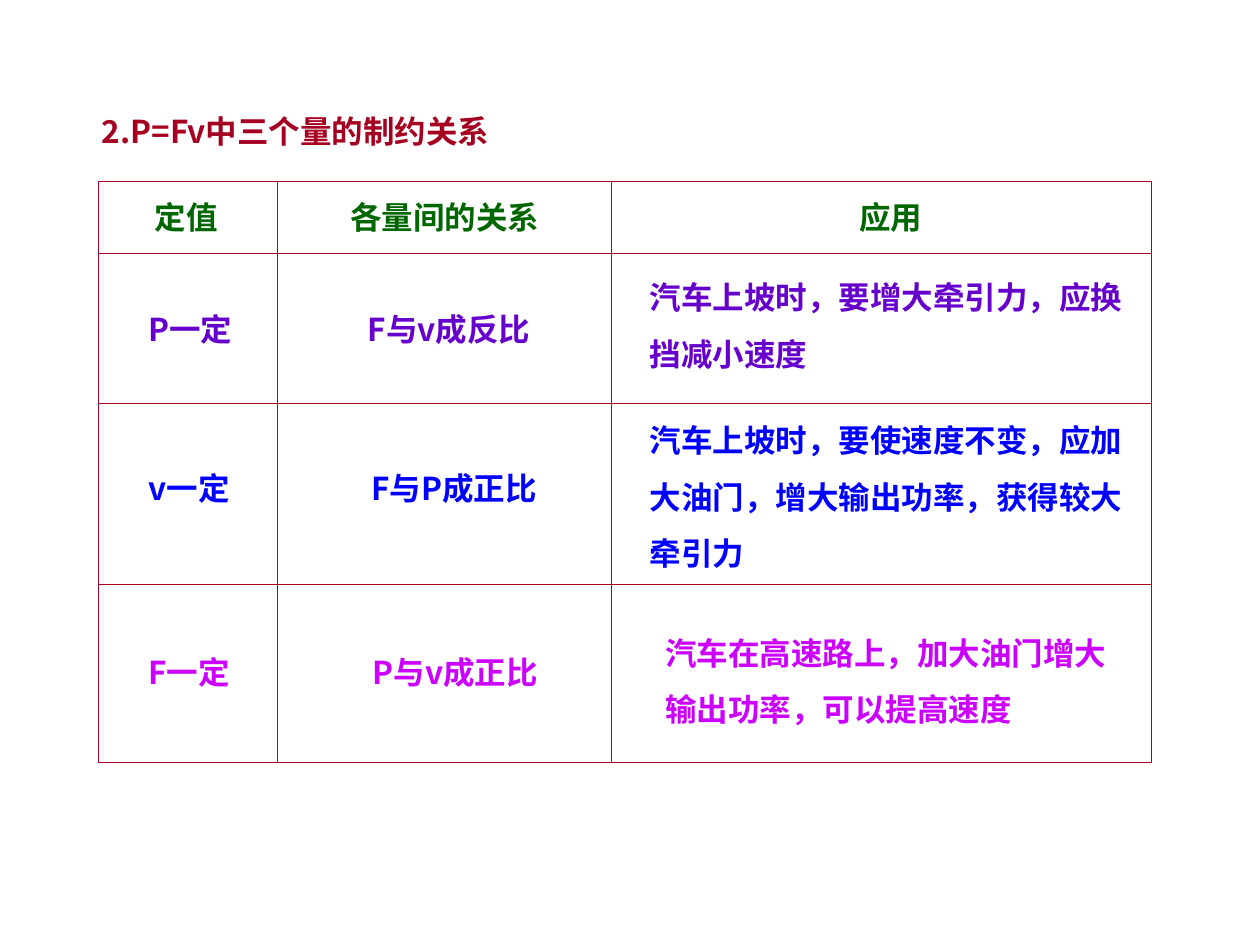
from lxml import etree
from pptx import Presentation
from pptx.dml.color import RGBColor
from pptx.enum.text import MSO_ANCHOR, MSO_AUTO_SIZE
from pptx.oxml.ns import qn
from pptx.util import Inches, Pt

MIDDLE = MSO_ANCHOR.MIDDLE
GROW = MSO_AUTO_SIZE.SHAPE_TO_FIT_TEXT

RED, GREEN = "A50021", "006600"
PURPLE, BLUE, PINK = "6600CC", "0000FF", "CC00FF"


def color(code):
    return RGBColor.from_string(code)


class Board:
    font = "Noto Sans CJK SC"
    size = Pt(18)
    thick, thin = Pt(0.75), Pt(0.45)

    def __init__(self, slide):
        self.slide = slide

    def text(self, x, y, w, h, lines, tint, space=1.1):
        box = self.slide.shapes.add_textbox(
            Inches(x), Inches(y), Inches(w), Inches(h))
        frame = box.text_frame
        frame.word_wrap = True
        frame.auto_size = GROW
        frame.vertical_anchor = MIDDLE
        frame.text = lines
        for para in frame.paragraphs:
            para.line_spacing = space
            for run in para.runs:
                font = run.font
                font.size = self.size
                font.bold = True
                font.color.rgb = color(tint)
                font.name = self.font
                # East Asian typeface
                etree.SubElement(font._element, qn("a:ea"), typeface=self.font)

    def border(self, cell, side, width, tint):
        props = cell._tc.get_or_add_tcPr()
        line = etree.SubElement(props, qn("a:ln" + side), w=str(width))
        fill = etree.SubElement(line, qn("a:solidFill"))
        etree.SubElement(fill, qn("a:srgbClr"), val=tint)

    def grid(self, x, y, cols, rows, tint):
        table = self.slide.shapes.add_table(
            len(rows), len(cols), Inches(x), Inches(y),
            Inches(sum(cols)), Inches(sum(rows))).table
        table.first_row = table.horz_banding = False
        for col, width in zip(table.columns, cols):
            col.width = Inches(width)
        for r, height in enumerate(rows):
            table.rows[r].height = Inches(height)
            for c in range(len(cols)):
                cell = table.cell(r, c)
                # Thick lines only on the outer edge
                outer = {"L": c == 0, "R": c == len(cols) - 1,
                         "T": r == 0, "B": r == len(rows) - 1}
                for side, edge in outer.items():
                    self.border(cell, side,
                                self.thick if edge else self.thin, tint)
                cell.fill.background()


def main():
    deck = Presentation()
    deck.slide_width, deck.slide_height = Inches(10), Inches(7.5)
    board = Board(deck.slides.add_slide(deck.slide_layouts[6]))
    line = 0.43

    # Title and table frame
    board.text(0.71, 0.81, 4.98, line, "2.P=Fv中三个量的制约关系", RED)
    board.grid(0.78, 1.44, [1.42, 2.65, 4.29], [0.57, 1.19, 1.44, 1.41], RED)

    # Column heads
    heads = [(1.13, 1.06, "定值"), (2.68, 1.95, "各量间的关系"),
             (6.72, 1.47, "应用")]
    for x, w, label in heads:
        board.text(x, 1.49, w, line, label, GREEN)

    # Rows: colour, top, fixed value, relation, use
    rows = [
        (PURPLE, 2.38, "P一定", (2.82, 2.71, "F与v成反比"),
         (5.06, 2.01, 4.66, 1,
          "汽车上坡时，要增大牵引力，应换\n挡减小速度")),
        (BLUE, 3.64, "v一定", (2.85, 2.27, "F与P成正比"),
         (5.06, 3.14, 4.58, 1.45,
          "汽车上坡时，要使速度不变，应加\n大油门，增大输出功率，获得较大\n牵引力")),
        (PINK, 5.1, "F一定", (2.86, 2.22, "P与v成正比"),
         (5.18, 4.83, 4.41, 1,
          "汽车在高速路上，加大油门增大\n输出功率，可以提高速度")),
    ]
    for tint, y, fixed, (x, w, link), use in rows:
        board.text(1.08, y, 1.47, line, fixed, tint)
        board.text(x, y, w, line, link, tint)
        board.text(*use, tint, space=1.5)

    deck.save("out.pptx")


if __name__ == "__main__":
    main()
